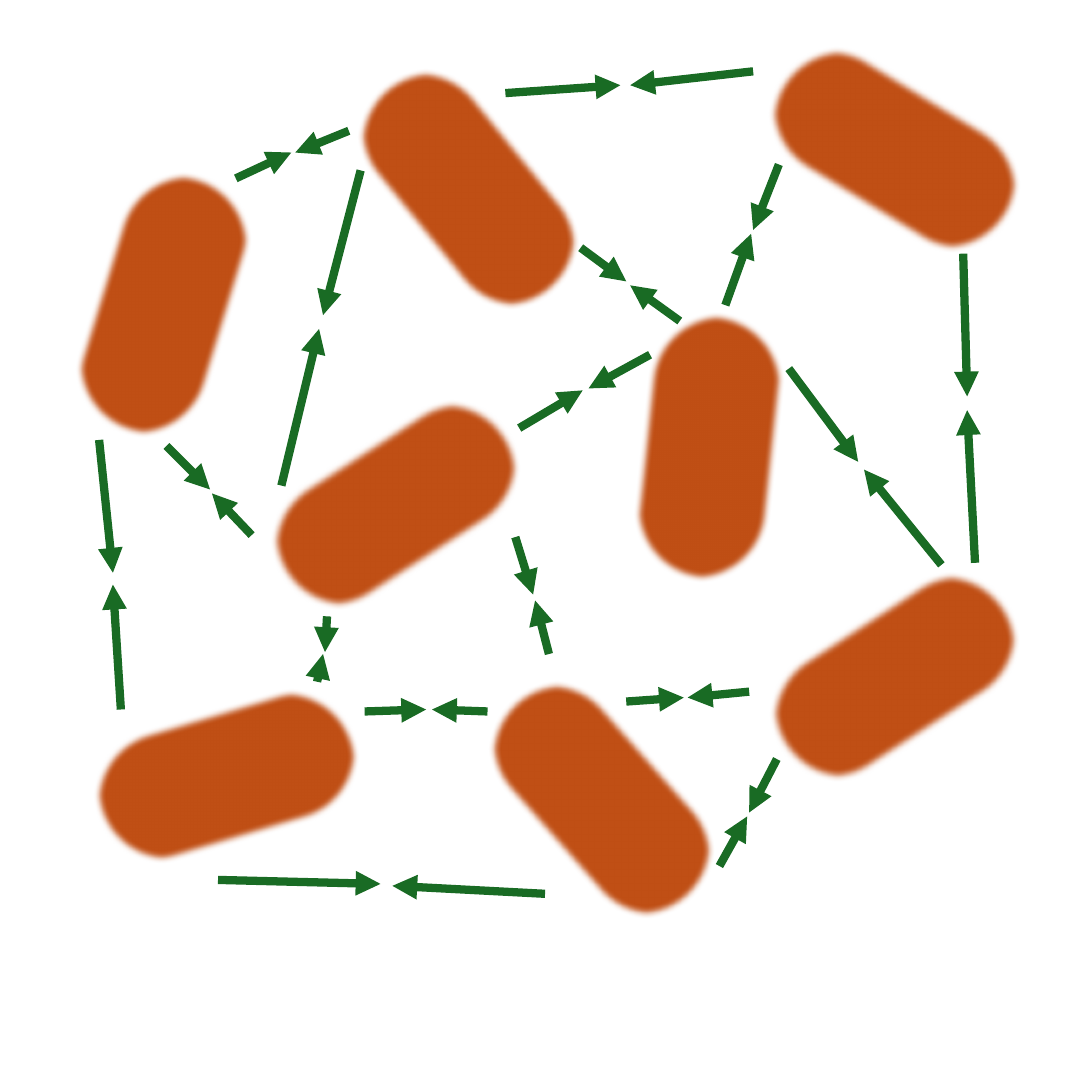
"""Build a slide of eight rod-shaped cells with pairs of arrows meeting between neighbours."""
from lxml.etree import SubElement
from pptx import Presentation
from pptx.dml.color import RGBColor
from pptx.enum.shapes import MSO_CONNECTOR, MSO_SHAPE
from pptx.oxml.ns import qn
from pptx.util import Inches, Pt

RUST = RGBColor(0xC0, 0x4F, 0x15)
GREEN = RGBColor(0x19, 0x6B, 0x24)
ROD_LENGTH, ROD_WIDTH = 1.37, 0.69

rods = [
    (3.83, 0.41, 31.3),
    (1.31, 2.2, 327.4),
    (1.68, 0.61, 50.8),
    (2.89, 1.91, 96),
    (3.83, 3.07, 147.1),
    (2.35, 3.69, 228.3),
    (0.46, 3.57, 343.4),
    (0.14, 1.19, 286.9),
]

meeting_arrows = [
    ((4.86, 1.28, 4.88, 2), (4.92, 2.84, 4.88, 2.07)),
    ((3.98, 1.86, 4.33, 2.33), (4.75, 2.85, 4.36, 2.37)),
    ((3.93, 0.83, 3.8, 1.16), (3.66, 1.54, 3.79, 1.18)),
    ((3.28, 1.79, 2.97, 1.96), (2.62, 2.16, 2.94, 1.97)),
    ((2.93, 1.25, 3.16, 1.42), (3.43, 1.62, 3.18, 1.44)),
    ((3.16, 3.54, 3.45, 3.52), (3.78, 3.49, 3.47, 3.52)),
    ((2.77, 3.3, 2.7, 3.03), (2.6, 2.71, 2.69, 3)),
    ((2.46, 3.59, 2.18, 3.58), (1.84, 3.59, 2.15, 3.58)),
    ((1.76, 0.66, 1.49, 0.77), (1.19, 0.9, 1.47, 0.77)),
    ((1.27, 2.7, 1.07, 2.49), (0.84, 2.25, 1.06, 2.47)),
    ((0.61, 3.58, 0.57, 2.95), (0.5, 2.22, 0.57, 2.89)),
    ((1.6, 3.44, 1.63, 3.3), (1.65, 3.11, 1.64, 3.29)),
    ((1.82, 0.86, 1.63, 1.59), (1.42, 2.45, 1.61, 1.66)),
    ((3.63, 4.37, 3.77, 4.12), (3.92, 3.83, 3.78, 4.1)),
    ((2.75, 4.51, 1.98, 4.47), (1.1, 4.44, 1.92, 4.46)),
    ((2.55, 0.47, 3.13, 0.43), (3.8, 0.36, 3.18, 0.43)),
]

presentation = Presentation()
presentation.slide_width = presentation.slide_height = Inches(5.51)
slide = presentation.slides.add_slide(presentation.slide_layouts[6])

for left, top, angle in rods:
    rod = slide.shapes.add_shape(
        MSO_SHAPE.ROUNDED_RECTANGLE,
        Inches(left), Inches(top), Inches(ROD_LENGTH), Inches(ROD_WIDTH))
    rod.adjustments[0] = 0.5
    rod.rotation = angle
    rod.fill.solid()
    rod.fill.fore_color.rgb = RUST
    rod.line.fill.background()
    rod.shadow.inherit = False
    effects = rod._element.spPr.find(qn("a:effectLst"))
    SubElement(effects, qn("a:softEdge"), rad=str(Pt(2.5)))

for arrow_pair in meeting_arrows:
    pair_group = slide.shapes.add_group_shape()
    for ends in arrow_pair:
        arrow = pair_group.shapes.add_connector(
            MSO_CONNECTOR.STRAIGHT, *[Inches(end) for end in ends])
        arrow.line.color.rgb = GREEN
        arrow.line.width = Pt(3)
        SubElement(arrow.line._get_or_add_ln(), qn("a:tailEnd"), type="triangle")
        SubElement(arrow._element.spPr, qn("a:effectLst"))

presentation.save("out.pptx")
